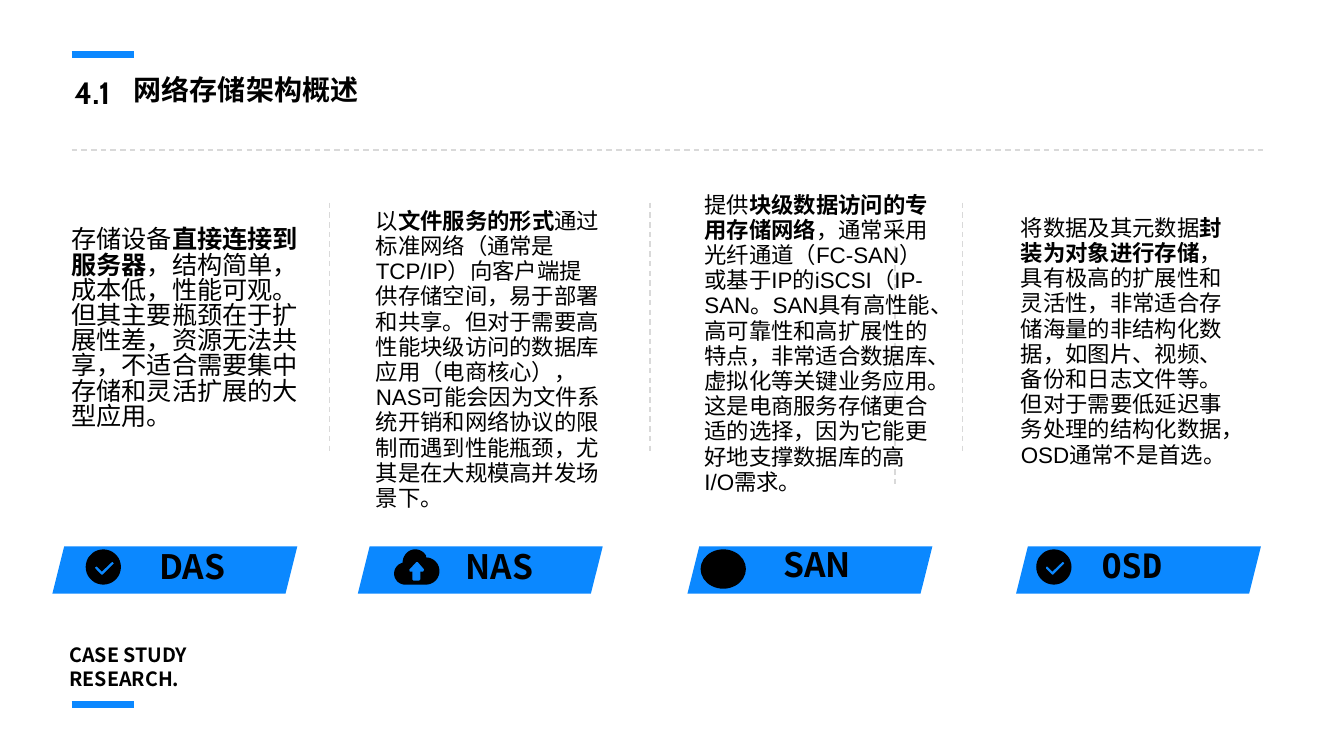
import math

import pptx
import pptx.dml.color
import pptx.enum.dml
import pptx.enum.shapes
import pptx.enum.text
import pptx.util
import pptx.oxml.ns
from lxml import etree

BLUE, BLACK, GREY = "0B88FF", "000000", "D9D9D9"
CJK, MONO = "Noto Sans CJK SC", "DejaVu Sans Mono"
COLS, ROWS = 133.33, 75
BAND_TOP, BAND_W, BAND_H = 54.2, 24.3, 4.7


def cell(n):
    """Length of n grid cells, a tenth of an inch each."""
    return pptx.util.Inches(n / 10)


def color(code):
    return pptx.dml.color.RGBColor.from_string(code)


def text(slide, box, paras, size=16, font=CJK, bold=False, lead=None, wrap=True):
    """Each paragraph is a list of runs; every second run is bold."""
    frame = slide.shapes.add_textbox(*map(cell, box)).text_frame
    frame.word_wrap = wrap
    frame.auto_size = pptx.enum.text.MSO_AUTO_SIZE.SHAPE_TO_FIT_TEXT
    for i, runs in enumerate(paras):
        para = frame.add_paragraph() if i else frame.paragraphs[0]
        if lead:
            para.line_spacing = pptx.util.Pt(lead)
        for j, words in enumerate(runs):
            run = para.add_run()
            run.text = words
            run.font.size = pptx.util.Pt(size)
            run.font.bold = bold or j % 2 == 1
            run.font.color.rgb = color(BLACK)
            run.font.name = font
            east = etree.SubElement(run.font._element, pptx.oxml.ns.qn("a:ea"))
            east.set("typeface", CJK)


def line(slide, x1, y1, x2, y2, tint=GREY, width=1, dash=True):
    link = slide.shapes.add_connector(
        pptx.enum.shapes.MSO_CONNECTOR.STRAIGHT, *map(cell, (x1, y1, x2, y2)))
    link.line.color.rgb = color(tint)
    link.line.width = pptx.util.Pt(width)
    if dash:
        link.line.dash_style = pptx.enum.dml.MSO_LINE.DASH
    etree.SubElement(link._element.spPr, pptx.oxml.ns.qn("a:effectLst"))


def paint(shape, tint):
    shape.shadow.inherit = False
    shape.fill.solid()
    shape.fill.fore_color.rgb = color(tint)
    shape.line.fill.background()


def band(slide, left):
    box = map(cell, (left, BAND_TOP, BAND_W, BAND_H))
    paint(slide.shapes.add_shape(
        pptx.enum.shapes.MSO_SHAPE.PARALLELOGRAM, *box), BLUE)


def disc(slide, left, width, height):
    box = map(cell, (left, 54.5, width, height))
    paint(slide.shapes.add_shape(pptx.enum.shapes.MSO_SHAPE.OVAL, *box), BLACK)


def arc(x, y, rx, ry, start=0, end=360, steps=36):
    turns = [math.radians(start + (end - start) * i / steps) for i in range(steps + 1)]
    return [(x + rx * math.cos(t), y + ry * math.sin(t)) for t in turns]


def icon(slide, left, loops):
    """Closed loops in hundredths of an inch; inner loops become holes."""
    pen = None
    for loop in loops:
        first, *rest = [(x * 10, y * 10) for x, y in loop]
        if pen is None:
            pen = slide.shapes.build_freeform(*first, scale=cell(1) / 100)
        else:
            pen.move_to(*first)
        pen.add_line_segments(rest, close=True)
    paint(pen.convert_to_shape(cell(left), cell(54.5)), BLACK)


CHECK = [
    arc(17.5, 17.5, 17.5, 17.5),
    [(27, 12.5), (26, 12.5), (16, 22), (11, 17), (9.5, 17.5), (9.5, 19),
     (15.5, 25), (17, 25), (28, 14)],
]
CLOUD = [
    arc(31.5, 21.5, 13.5, 13.5, -90, 90) + arc(11, 24, 11, 11, 90, 255)
    + arc(21, 13, 12.5, 13, 180, 330),
    [(23.5, 12.5), (22, 12.5), (15, 20), (15.5, 22), (18, 22), (18, 30), (19, 31),
     (25, 31), (26, 30), (26, 22), (29, 22), (30, 20)],
]

# band left, label, label box, label style, body box, body style, body
TOPICS = [
    (5.2, "DAS", (14.8, 53.7, 15.6, 5), {},
     (6.1, 22.2, 24.6, 21.2), {"size": 18, "font": MONO},
     ["存储设备", "直接连接到服务器",
      "，结构简单，成本低，性能可观。但其主要瓶颈在于扩展性差，资源无法共享，"
      "不适合需要集中存储和灵活扩展的大型应用。"]),
    (35.5, "NAS", (45.2, 53.7, 15.6, 5), {},
     (36.3, 20.2, 24.6, 28.8), {"font": "Arial"},
     ["以", "文件服务的形式",
      "通过标准网络（通常是TCP/IP）向客户端提供存储空间，易于部署和共享。"
      "但对于需要高性能块级访问的数据库应用（电商核心），NAS可能会因为文件系统开销和"
      "网络协议的限制而遇到性能瓶颈，尤其是在大规模高并发场景下。"]),
    (68.2, "SAN", (76.7, 55, 18.8, 3.5), {"lead": 18},
     (68.9, 18.6, 24.6, 31.3), {"font": "Arial"},
     ["提供", "块级数据访问的专用存储网络",
      "，通常采用光纤通道（FC-SAN）或基于IP的iSCSI（IP-SAN。SAN具有高性能、"
      "高可靠性和高扩展性的特点，非常适合数据库、虚拟化等关键业务应用。"
      "这是电商服务存储更合适的选择，因为它能更好地支撑数据库的高I/O需求。"]),
    (100.8, "OSD", (108.3, 55.1, 20.5, 3.8), {"lead": 18, "font": MONO},
     (100.3, 20.9, 23, 26.3), {"font": "Arial"},
     ["将数据及其元数据", "封装为对象进行存储",
      "，具有极高的扩展性和灵活性，非常适合存储海量的非结构化数据，如图片、视频、"
      "备份和日志文件等。但对于需要低延迟事务处理的结构化数据，OSD通常不是首选。"]),
]


def main():
    deck = pptx.Presentation()
    deck.slide_width, deck.slide_height = cell(COLS), cell(ROWS)
    slide = deck.slides.add_slide(deck.slide_layouts[6])

    text(slide, (6.4, 6.8, 5.9, 4.7), [["4.1"]], size=22, font="Cabin",
         bold=True, wrap=False)
    text(slide, (12.3, 6.7, 24.6, 4.4), [["网络存储架构概述"]], size=20,
         bold=True, wrap=False)
    text(slide, (5.9, 63.3, 14.4, 5.7), [["CASE STUDY"], ["RESEARCH."]],
         size=14, bold=True)
    for y in (5.4, 69.9):
        line(slide, 7.1, y, 13.3, y, tint=BLUE, width=5, dash=False)

    line(slide, 7.1, 14.9, 125.3, 14.9)
    for x, y in ((32.7, 20.1), (64.5, 20.1), (88.8, 23.4), (95.5, 20.1)):
        line(slide, x, y, x, y + 24.6)

    for left, name, spot, style, box, look, body in TOPICS:
        band(slide, left)
        text(slide, spot, [[name]], size=24, bold=True, **style)
        text(slide, box, [body], lead=18, **look)

    for left, loops in ((8.5, CHECK), (39.1, CLOUD), (102.8, CHECK)):
        icon(slide, left, loops)
    disc(slide, 69.5, 4.5, 3.9)

    deck.save("out.pptx")


if __name__ == "__main__":
    main()
